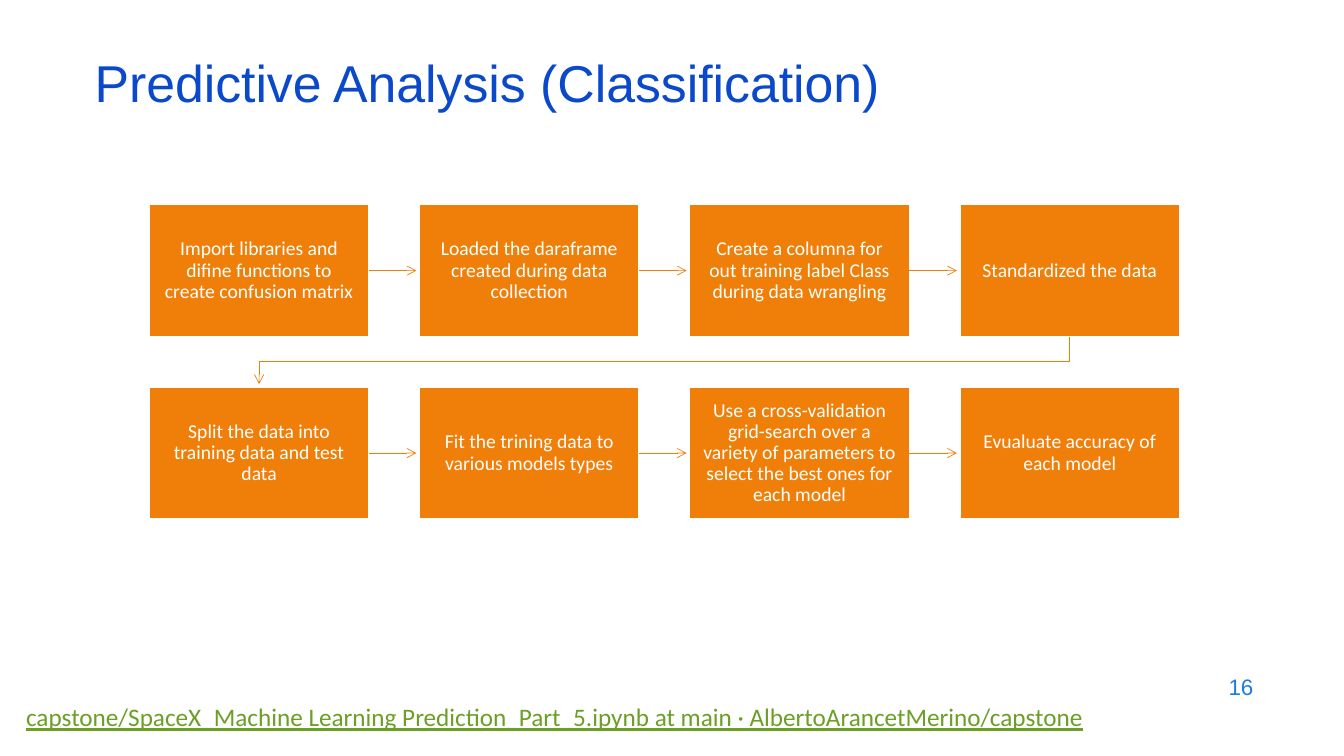
"""Build the slide showing the classification workflow as two rows of steps."""
import pptx
import pptx.dml.color
import pptx.enum.shapes
import pptx.enum.text
import pptx.oxml
import pptx.oxml.ns
import pptx.util

COLORS = {
    "box": "F07F09",
    "white": "FFFFFF",
    "title": "0B49CB",
    "number": "1C7DDB",
    "link": "6B9F25",
}
ALIGN = pptx.enum.text.PP_ALIGN
MIDDLE = pptx.enum.text.MSO_ANCHOR.MIDDLE
TOP = pptx.enum.text.MSO_ANCHOR.TOP

GRID_LEFT, GRID_TOP = 1.48, 2.03
BOX_WIDTH, BOX_HEIGHT = 2.18, 1.31
COLUMN_STEP, ROW_STEP = 2.68, 1.81
ARROW_LENGTH = 0.47

STEPS = [
    [
        "Import libraries and difine functions to create confusion matrix",
        "Loaded the daraframe created during data collection",
        "Create a columna for out training label Class during data wrangling",
        "Standardized the data",
    ],
    [
        "Split the data into training data and test data",
        "Fit the trining data to various models types",
        "Use a cross-validation grid-search over a variety of parameters "
        "to select the best ones for each model",
        "Evualuate accuracy of each model",
    ],
]


def inches(*values):
    return [pptx.util.Inches(value) for value in values]


def color(name):
    return pptx.dml.color.RGBColor.from_string(COLORS[name])


def set_attributes(target, values):
    for name, value in values.items():
        setattr(target, name, value)


def write_text(shape, text, color_name, font, paragraph_format, anchor=MIDDLE):
    frame = shape.text_frame
    set_attributes(frame, {"word_wrap": True, "vertical_anchor": anchor})
    paragraph = frame.paragraphs[0]
    set_attributes(paragraph, paragraph_format)
    run = paragraph.add_run()
    run.text = text
    set_attributes(run.font, font)
    run.font.color.rgb = color(color_name)


def add_text(slide, place, *text_arguments):
    write_text(slide.shapes.add_textbox(*inches(*place)), *text_arguments)


def cell_origin(row, column):
    return GRID_LEFT + column * COLUMN_STEP, GRID_TOP + row * ROW_STEP


def add_step(slide, row, column, text):
    left, top = cell_origin(row, column)
    shape = slide.shapes.add_shape(
        pptx.enum.shapes.MSO_SHAPE.RECTANGLE,
        *inches(left, top, BOX_WIDTH, BOX_HEIGHT),
    )
    shape.shadow.inherit = False
    shape.fill.solid()
    shape.fill.fore_color.rgb = color("box")
    shape.line.color.rgb = color("white")
    shape.line.width = pptx.util.Pt(1)
    margin = pptx.util.Inches(0.11)
    sides = ("left", "right", "top", "bottom")
    set_attributes(shape.text_frame, {f"margin_{side}": margin for side in sides})
    write_text(
        shape, text, "white",
        {"name": "Calibri", "size": pptx.util.Pt(14)},
        {"alignment": ALIGN.CENTER, "line_spacing": 0.9},
    )


def style_arrow(shape):
    shape.line.color.rgb = color("box")
    shape.line.width = pptx.util.Pt(0.5)
    arrowhead = pptx.oxml.parse_xml(
        f'<a:tailEnd {pptx.oxml.ns.nsdecls("a")} type="arrow"/>'
    )
    shape.line._get_or_add_ln().append(arrowhead)


def add_step_arrow(slide, row, column):
    left, top = cell_origin(row, column)
    start, middle = left + BOX_WIDTH, top + BOX_HEIGHT / 2
    arrow = slide.shapes.add_connector(
        pptx.enum.shapes.MSO_CONNECTOR.STRAIGHT,
        *inches(start, middle, start + ARROW_LENGTH, middle),
    )
    effects = pptx.oxml.parse_xml(f'<a:effectLst {pptx.oxml.ns.nsdecls("a")}/>')
    style_arrow(arrow)
    arrow._element.spPr.append(effects)


def add_row_arrow(slide, last_column):
    first_x = GRID_LEFT + BOX_WIDTH / 2
    last_x = first_x + last_column * COLUMN_STEP
    start_y = GRID_TOP + BOX_HEIGHT
    turn_y = GRID_TOP + (BOX_HEIGHT + ROW_STEP) / 2
    end_y = start_y + ARROW_LENGTH
    builder = slide.shapes.build_freeform(*inches(last_x, start_y))
    corners = [(last_x, turn_y), (first_x, turn_y), (first_x, end_y)]
    builder.add_line_segments([inches(*corner) for corner in corners], close=False)
    arrow = builder.convert_to_shape()
    arrow.shadow.inherit = False
    arrow.fill.background()
    style_arrow(arrow)


def main():
    presentation = pptx.Presentation()
    width, height = inches(13.33, 7.5)
    set_attributes(presentation, {"slide_width": width, "slide_height": height})
    slide = presentation.slides.add_slide(presentation.slide_layouts[6])

    add_text(
        slide, (0.84, 0.59, 11.5, 0.6), "Predictive Analysis (Classification)", "title",
        {"name": "Arial", "size": pptx.util.Pt(37)}, {"line_spacing": 0.7},
    )
    for row, texts in enumerate(STEPS):
        for column, text in enumerate(texts):
            add_step(slide, row, column, text)
            if column < len(texts) - 1:
                add_step_arrow(slide, row, column)
    add_row_arrow(slide, len(STEPS[0]) - 1)
    add_text(
        slide, (9.53, 6.59, 3, 0.44), "16", "number",
        {"name": "Arial", "size": pptx.util.Pt(16)}, {"alignment": ALIGN.RIGHT},
    )
    add_text(
        slide, (0.16, 6.91, 11.79, 0.4),
        "capstone/SpaceX_Machine Learning Prediction_Part_5.ipynb at main · "
        "AlbertoArancetMerino/capstone",
        "link", {"name": "Calibri", "size": pptx.util.Pt(18), "underline": True}, {}, TOP,
    )
    presentation.save("out.pptx")


if __name__ == "__main__":
    main()
